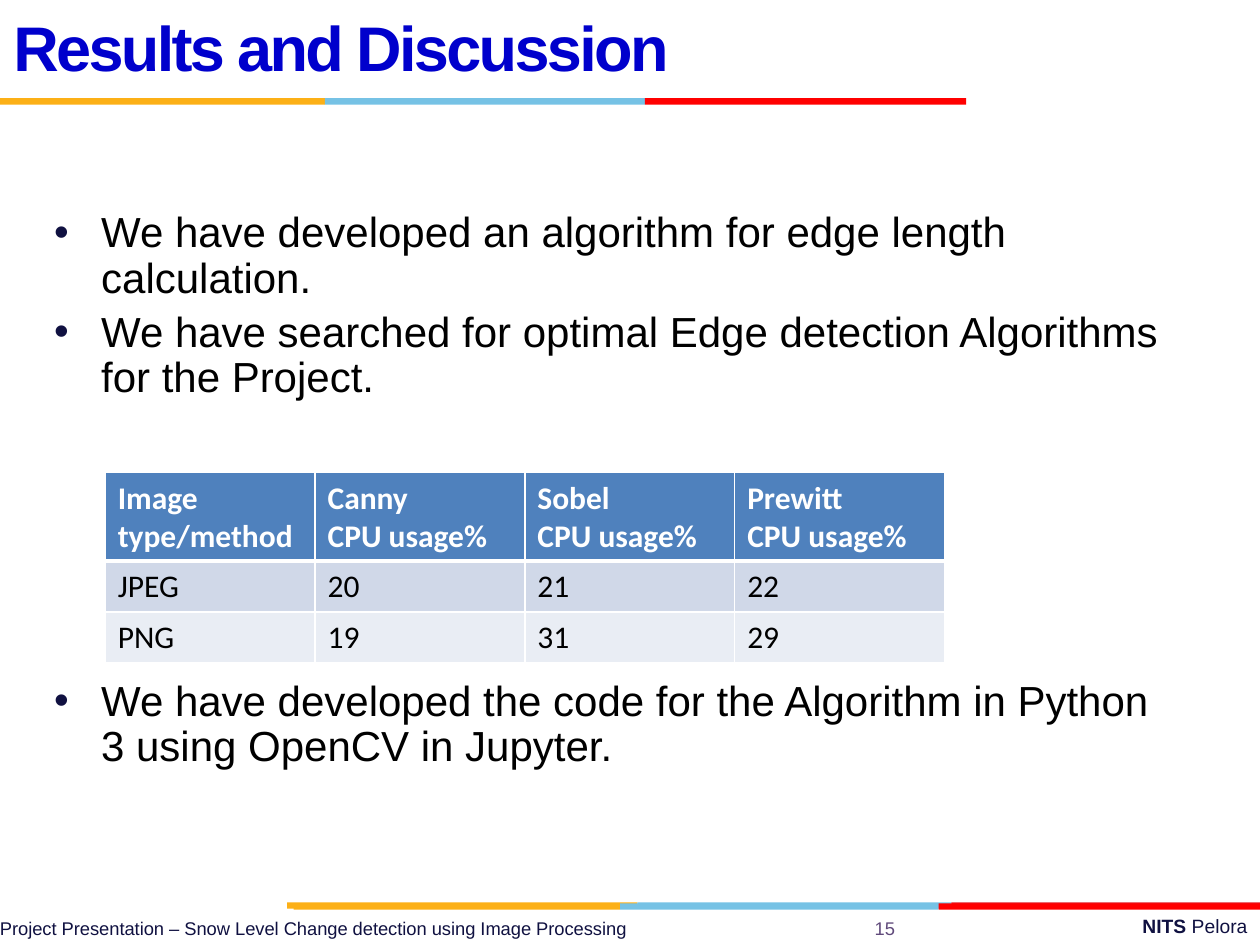
from dataclasses import dataclass

from lxml import etree
from pptx import Presentation
from pptx.dml.color import RGBColor
from pptx.enum import shapes, text
from pptx.oxml.ns import qn
from pptx.util import Cm, Pt


@dataclass(frozen=True)
class Theme:
    font: str = "Arial"
    table_font: str = "Calibri"
    title: str = "0000CC"
    ink: str = "000000"
    navy: str = "101141"
    purple: str = "604A7B"
    white: str = "FFFFFF"
    yellow: str = "FCB017"
    blue: str = "76C2E5"
    red: str = "FF0000"
    dark_red: str = "E31C24"
    header_fill: str = "4F81BD"
    row_fills: tuple[str, ...] = ("D0D8E8", "E9EDF4")
    title_size: float = 36
    body_size: float = 24
    table_size: float = 18
    brand_size: float = 11
    footer_size: float = 10.5


THEME = Theme()


@dataclass(frozen=True)
class Stripe:
    """Three touching bars; edges and top are in centimetres."""
    top: float
    edges: tuple[float, ...]
    last_color: str = THEME.red


@dataclass(frozen=True)
class Run:
    words: str
    size: float
    color: str
    bold: bool = False
    font: str = THEME.font


@dataclass(frozen=True)
class Box:
    """Text area in centimetres."""
    left: float
    top: float
    width: float
    height: float
    inset: bool = True
    anchor: text.MSO_ANCHOR = text.MSO_ANCHOR.TOP


@dataclass(frozen=True)
class Bullet:
    words: str
    space_before: float


STRIPES = (
    Stripe(18.19, (5.79, 12.85, 19.18, 25.4), THEME.dark_red),
    Stripe(18.21, (5.92, 12.5, 18.92, 25.4)),
    Stripe(1.98, (0, 6.55, 13, 19.48)),
)
BULLETS = (
    Bullet("We have developed an algorithm for edge length calculation.", 5),
    Bullet("We have searched for optimal Edge detection Algorithms for the Project.", 5),
    # The wide gap leaves room for the table.
    Bullet("We have developed the code for the Algorithm in Python 3 using OpenCV in Jupyter.", 159),
)
USAGE = (
    ("Image type/method", "Canny\nCPU usage%", "Sobel\nCPU usage%", "Prewitt\nCPU usage%"),
    ("JPEG", "20", "21", "22"),
    ("PNG", "19", "31", "29"),
)
ROW_HEIGHTS = (1.78, 1.03, 1.03)
COLUMN_WIDTH = 4.23


def rgb(color: str) -> RGBColor:
    return RGBColor.from_string(color)


def draw_stripe(slide, stripe: Stripe) -> None:
    colors = (THEME.yellow, THEME.blue, stripe.last_color)
    for color, left, right in zip(colors, stripe.edges, stripe.edges[1:]):
        bar = slide.shapes.add_shape(shapes.MSO_SHAPE.RECTANGLE, Cm(left), Cm(stripe.top),
                                     Cm(right - left), Cm(0.13))
        bar.shadow.inherit = False
        bar.fill.solid()
        bar.fill.fore_color.rgb = rgb(color)
        bar.line.fill.background()


def add_frame(slide, box: Box):
    frame = slide.shapes.add_textbox(
        Cm(box.left), Cm(box.top), Cm(box.width), Cm(box.height)).text_frame
    frame.word_wrap = True
    frame.vertical_anchor = box.anchor
    if not box.inset:
        for side in ("left", "top", "right", "bottom"):
            setattr(frame, f"margin_{side}", 0)
    return frame


def write(paragraph, *runs: Run, **layout):
    """Append the runs and set the paragraph's format values."""
    for name, value in layout.items():
        setattr(paragraph, name, value)
    for part in runs:
        run = paragraph.add_run()
        run.text = part.words
        look = {"name": part.font, "size": Pt(part.size), "bold": part.bold}
        for name, value in look.items():
            setattr(run.font, name, value)
        run.font.color.rgb = rgb(part.color)
    return paragraph


def add_bullet_mark(paragraph) -> None:
    properties = paragraph._p.get_or_add_pPr()
    properties.set("marL", str(Cm(0.95)))
    properties.set("indent", str(-Cm(0.95)))
    color = etree.SubElement(properties, qn("a:buClr"))
    etree.SubElement(color, qn("a:srgbClr"), val=THEME.navy)
    etree.SubElement(properties, qn("a:buFont"), typeface=THEME.font)
    etree.SubElement(properties, qn("a:buChar"), char="•")


def set_borders(cell, widths: dict[str, float]) -> None:
    """Put white borders before the cell's fill, as the schema orders them."""
    properties = cell._tc.get_or_add_tcPr()
    for position, (side, width) in enumerate(widths.items()):
        line = etree.Element(qn(f"a:ln{side}"), w=str(Pt(width)))
        fill = etree.SubElement(line, qn("a:solidFill"))
        etree.SubElement(fill, qn("a:srgbClr"), val=THEME.white)
        properties.insert(position, line)


def draw_usage_table(slide) -> None:
    columns = len(USAGE[0])
    table = slide.shapes.add_table(len(USAGE), columns, Cm(2.12), Cm(9.53),
                                   Cm(COLUMN_WIDTH * columns), Cm(sum(ROW_HEIGHTS))).table
    for column in table.columns:
        column.width = Cm(COLUMN_WIDTH)
    fills = (THEME.header_fill, *THEME.row_fills)
    for r, (row, height, fill) in enumerate(zip(USAGE, ROW_HEIGHTS, fills)):
        table.rows[r].height = Cm(height)
        is_header = r == 0
        color = THEME.white if is_header else THEME.ink
        borders = {"L": 1, "R": 1, "T": 3 if r == 1 else 1, "B": 3 if is_header else 1}
        for c, words in enumerate(row):
            cell = table.cell(r, c)
            cell.fill.solid()
            cell.fill.fore_color.rgb = rgb(fill)
            set_borders(cell, borders)
            for i, line in enumerate(words.split("\n")):
                frame = cell.text_frame
                paragraph = frame.add_paragraph() if i else frame.paragraphs[0]
                write(paragraph, Run(line, THEME.table_size, color, is_header, THEME.table_font))


def draw_bullets(slide) -> None:
    frame = add_frame(slide, Box(0.84, 4.14, 22.86, 12.57))
    for i, bullet in enumerate(BULLETS):
        paragraph = frame.add_paragraph() if i else frame.paragraphs[0]
        write(paragraph, Run(bullet.words, THEME.body_size, THEME.ink),
              line_spacing=0.9, space_before=Pt(bullet.space_before))
        add_bullet_mark(paragraph)


def draw_title(slide) -> None:
    frame = add_frame(slide, Box(0.02, 0, 17.58, 2.11, anchor=text.MSO_ANCHOR.MIDDLE))
    title = write(frame.paragraphs[0],
                  Run("Results and Discussion", THEME.title_size, THEME.title, True),
                  line_spacing=Pt(36))
    title.runs[0].font._element.set("spc", "-150")


def draw_footer(slide) -> None:
    brand = add_frame(slide, Box(9.09, 18.31, 16.31, 0.74))
    write(brand.paragraphs[0], Run("NITS ", THEME.brand_size, THEME.navy, True),
          Run("Pelora", THEME.brand_size, THEME.navy), alignment=text.PP_ALIGN.RIGHT)
    number = add_frame(slide, Box(16.94, 18.49, 1.9, 0.46, inset=False))
    write(number.paragraphs[0], Run("15 ", THEME.footer_size, THEME.purple),
          alignment=text.PP_ALIGN.CENTER)
    project = add_frame(slide, Box(0, 18.49, 16.61, 0.46, inset=False))
    write(project.paragraphs[0],
          Run("Project Presentation – Snow Level Change detection using Image Processing",
              THEME.footer_size, THEME.navy))


def main() -> None:
    deck = Presentation()
    deck.slide_width, deck.slide_height = Cm(25.4), Cm(19.05)
    slide = deck.slides.add_slide(deck.slide_layouts[6])
    for stripe in STRIPES:
        draw_stripe(slide, stripe)
    draw_footer(slide)
    draw_bullets(slide)
    draw_title(slide)
    draw_usage_table(slide)
    deck.save("out.pptx")


if __name__ == "__main__":
    main()
